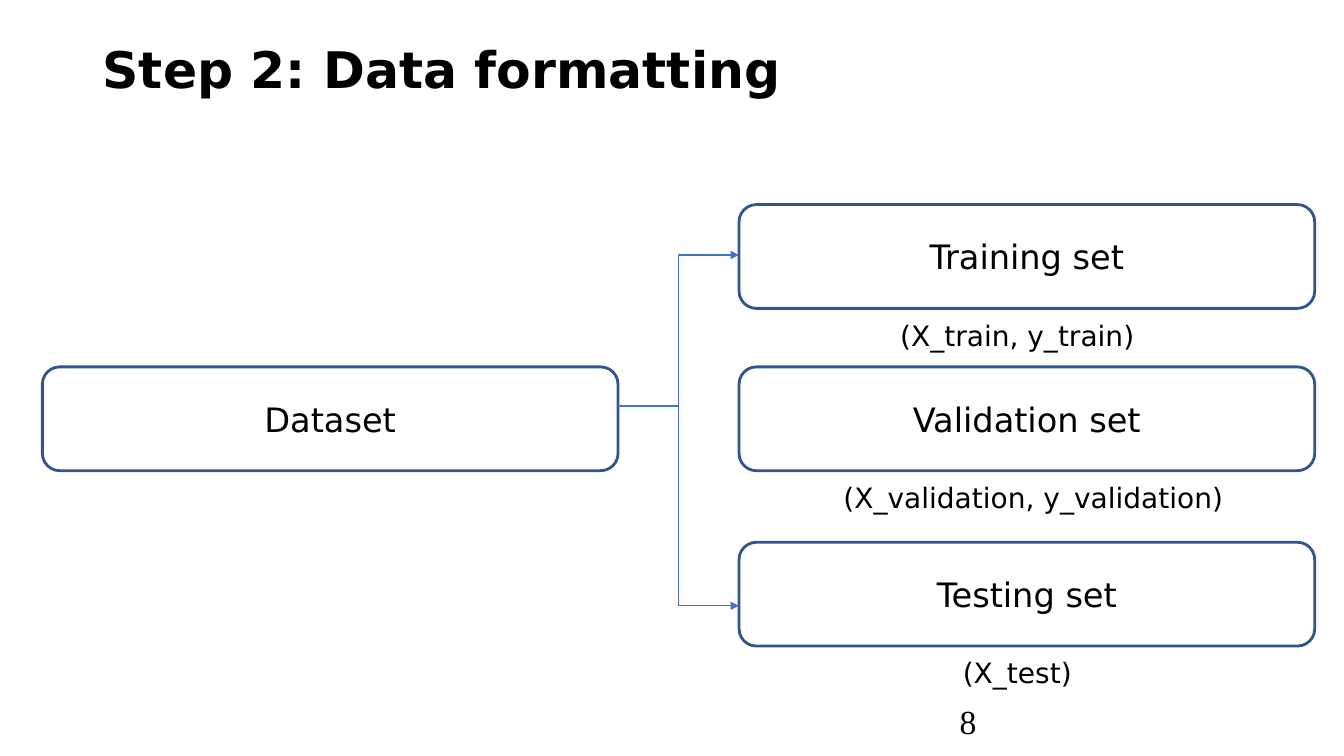
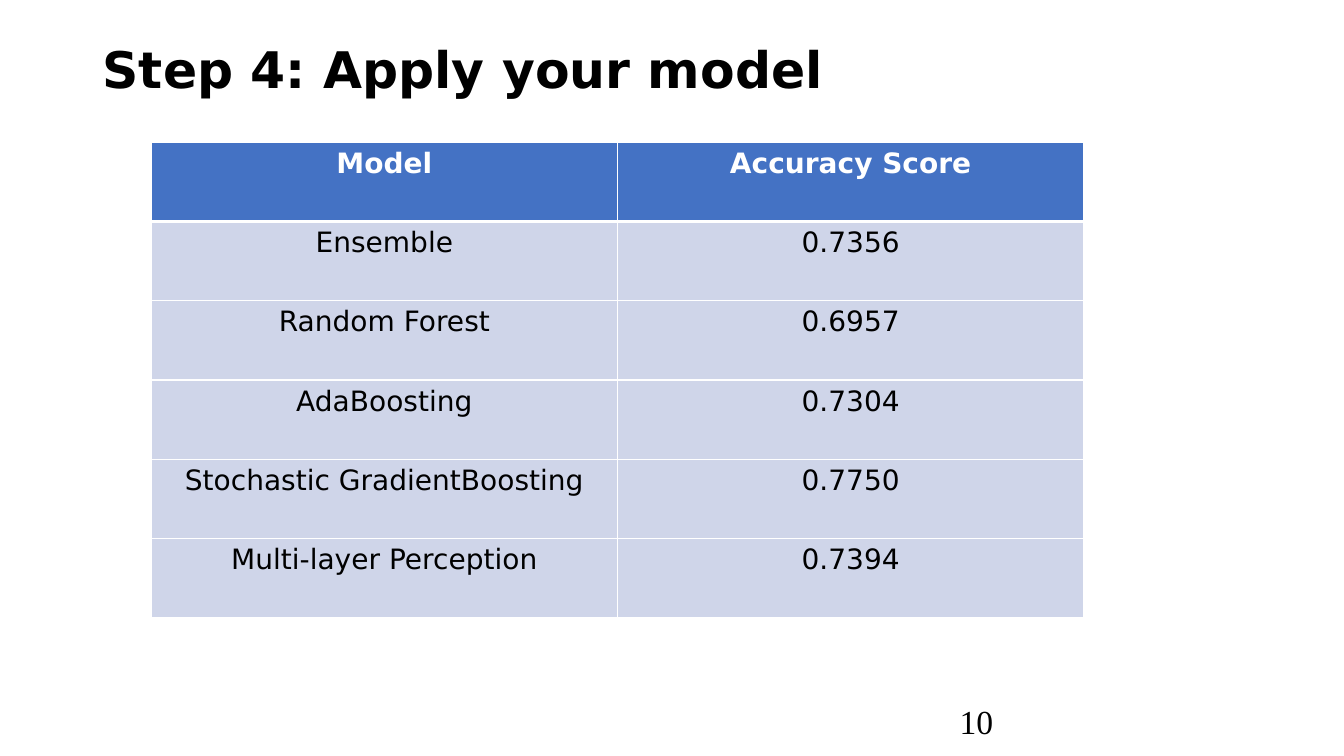
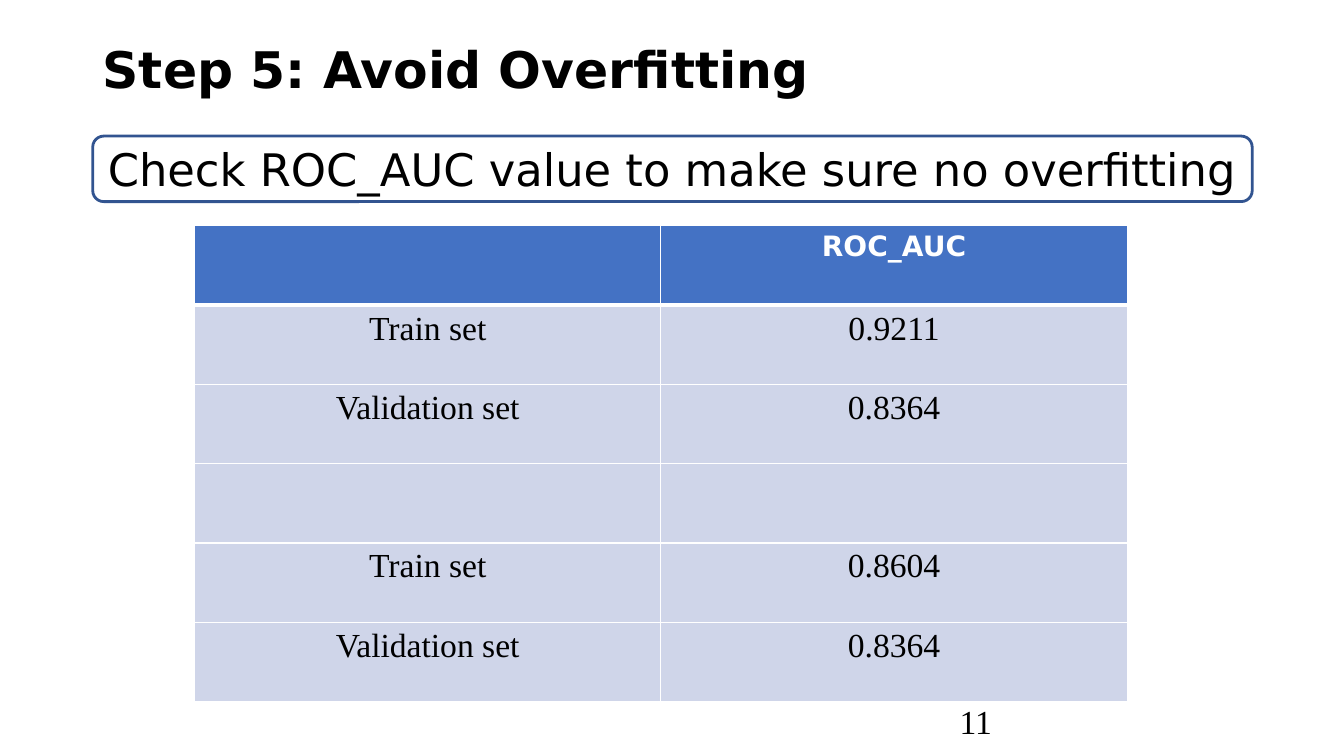
from dataclasses import dataclass
from lxml.etree import SubElement
from pptx import Presentation
from pptx.dml.color import RGBColor
from pptx.enum.shapes import MSO_CONNECTOR, MSO_SHAPE
from pptx.enum.text import MSO_ANCHOR, PP_ALIGN
from pptx.oxml.ns import qn
from pptx.util import Inches, Pt


@dataclass(frozen=True)
class Theme:
    sans: str = "DejaVu Sans"
    serif: str = "Times New Roman"
    black: str = "000000"
    white: str = "FFFFFF"
    accent: str = "4472C4"
    outline: str = "325490"
    band: str = "CFD5E9"
    title: int = 36
    banner: int = 32
    body: int = 24
    small: int = 20
    outline_width: int = 2
    arrow_width: int = 1
    grid_width: float = 0.96
    header_rule: int = 3


T = Theme()
TITLE_BOX = (0.92, 0.4, 11.5, 0.83)
NUMBER_BOX = (9.42, 6.95, 3, 0.4)


def rgb(value):
    return RGBColor.from_string(value)


def write(tf, text, size, font=T.sans, color=T.black, bold=False,
          anchor=MSO_ANCHOR.TOP, **layout):
    tf.word_wrap = True
    tf.vertical_anchor = anchor
    p = tf.paragraphs[0]
    for name, value in layout.items():
        setattr(p, name, value)
    r = p.add_run()
    r.text = text
    for name, value in {"name": font, "size": Pt(size), "bold": bold}.items():
        setattr(r.font, name, value)
    r.font.color.rgb = rgb(color)


def add_text(s, box, text, size, **style):
    sp = s.shapes.add_textbox(*map(Inches, box))
    write(sp.text_frame, text, size, **style)


def add_rounded(s, box, text, size):
    sp = s.shapes.add_shape(MSO_SHAPE.ROUNDED_RECTANGLE, *map(Inches, box))
    sp.shadow.inherit = False
    sp.fill.background()
    sp.line.color.rgb = rgb(T.outline)
    sp.line.width = Pt(T.outline_width)
    write(sp.text_frame, text, size, anchor=MSO_ANCHOR.MIDDLE,
          alignment=PP_ALIGN.CENTER)


def add_arrow(s, start, end):
    cx = s.shapes.add_connector(MSO_CONNECTOR.ELBOW, *map(Inches, start + end))
    cx.line.color.rgb = rgb(T.accent)
    cx.line.width = Pt(T.arrow_width)
    SubElement(cx.line._get_or_add_ln(), qn("a:tailEnd"), type="triangle")
    SubElement(cx._element.spPr, qn("a:effectLst"))


def add_split(s, box, source, branches):
    left, top, width, _ = box
    node_w, node_h, caption_h = 5.71, 1.03, 0.72
    source_y, exit_dy, caption_dy = 1.61, 0.39, 0.91
    branch_x = left + width - node_w
    add_rounded(s, (left, top + source_y, node_w, node_h), source, T.body)
    for label, dy, arrow_dy, caption, caption_dx, caption_w in branches:
        y = top + dy
        add_rounded(s, (branch_x, y, node_w, node_h), label, T.body)
        add_text(s, (branch_x + caption_dx, y + caption_dy, caption_w, caption_h),
                 caption, T.small, alignment=PP_ALIGN.CENTER,
                 line_spacing=1.5, space_before=Pt(10))
        if arrow_dy is not None:
            add_arrow(s, (left + node_w, top + source_y + exit_dy),
                      (branch_x, y + arrow_dy))


def set_borders(cell, row):
    rules = {"L": T.grid_width, "R": T.grid_width,
             "T": T.header_rule if row == 1 else T.grid_width,
             "B": T.header_rule if row == 0 else T.grid_width}
    tc_pr = cell._tc.get_or_add_tcPr()
    for side, weight in rules.items():
        ln = SubElement(tc_pr, qn(f"a:ln{side}"), w=str(Pt(weight)))
        fill = SubElement(ln, qn("a:solidFill"))
        SubElement(fill, qn("a:srgbClr"), val=T.white)


def add_scores(s, box, rows, body):
    header = {"size": T.small, "color": T.white, "bold": True}
    table = s.shapes.add_table(len(rows), len(rows[0]), *map(Inches, box)).table
    for i, row in enumerate(rows):
        for j, text in enumerate(row):
            cell = table.cell(i, j)
            set_borders(cell, i)
            cell.fill.solid()
            cell.fill.fore_color.rgb = rgb(T.band if i else T.accent)
            if text:
                write(cell.text_frame, text, alignment=PP_ALIGN.CENTER,
                      **(body if i else header))


def add_slide(prs, title, number):
    s = prs.slides.add_slide(prs.slide_layouts[6])
    add_text(s, TITLE_BOX, title, T.title, bold=True, line_spacing=0.9)
    add_text(s, NUMBER_BOX, number, T.body, font=T.serif,
             anchor=MSO_ANCHOR.MIDDLE)
    return s


def formatting_slide(prs):
    s = add_slide(prs, "Step 2: Data formatting", "8")
    add_split(s, (0.42, 2.03, 12.62, 4.98), "Dataset", [
        ("Training set", 0, 0.5, "(X_train, y_train)", 1.26, 3),
        ("Validation set", 1.61, None, "(X_validation, y_validation)", 0.17, 5.5),
        ("Testing set", 3.35, 0.63, "(X_test)", 1.26, 3),
    ])


def model_slide(prs):
    s = add_slide(prs, "Step 4: Apply your model", "10")
    add_scores(s, (1.5, 1.41, 9.25, 4.72), [
        ("Model", "Accuracy Score"),
        ("Ensemble", "0.7356"),
        ("Random Forest", "0.6957"),
        ("AdaBoosting", "0.7304"),
        ("Stochastic GradientBoosting", "0.7750"),
        ("Multi-layer Perception", "0.7394"),
    ], {"size": T.small})


def overfitting_slide(prs):
    s = add_slide(prs, "Step 5: Avoid Overfitting", "11")
    add_scores(s, (1.93, 2.24, 9.25, 4.72), [
        ("", "ROC_AUC"),
        ("Train set", "0.9211"),
        ("Validation set", "0.8364"),
        ("", ""),
        ("Train set", "0.8604"),
        ("Validation set", "0.8364"),
    ], {"size": T.body, "font": T.serif})
    add_rounded(s, (0.92, 1.35, 11.5, 0.65),
                "Check ROC_AUC value to make sure no overfitting", T.banner)


def main():
    prs = Presentation()
    prs.slide_width = Inches(13.33)
    prs.slide_height = Inches(7.5)
    for build in (formatting_slide, model_slide, overfitting_slide):
        build(prs)
    prs.save("out.pptx")


if __name__ == "__main__":
    main()
